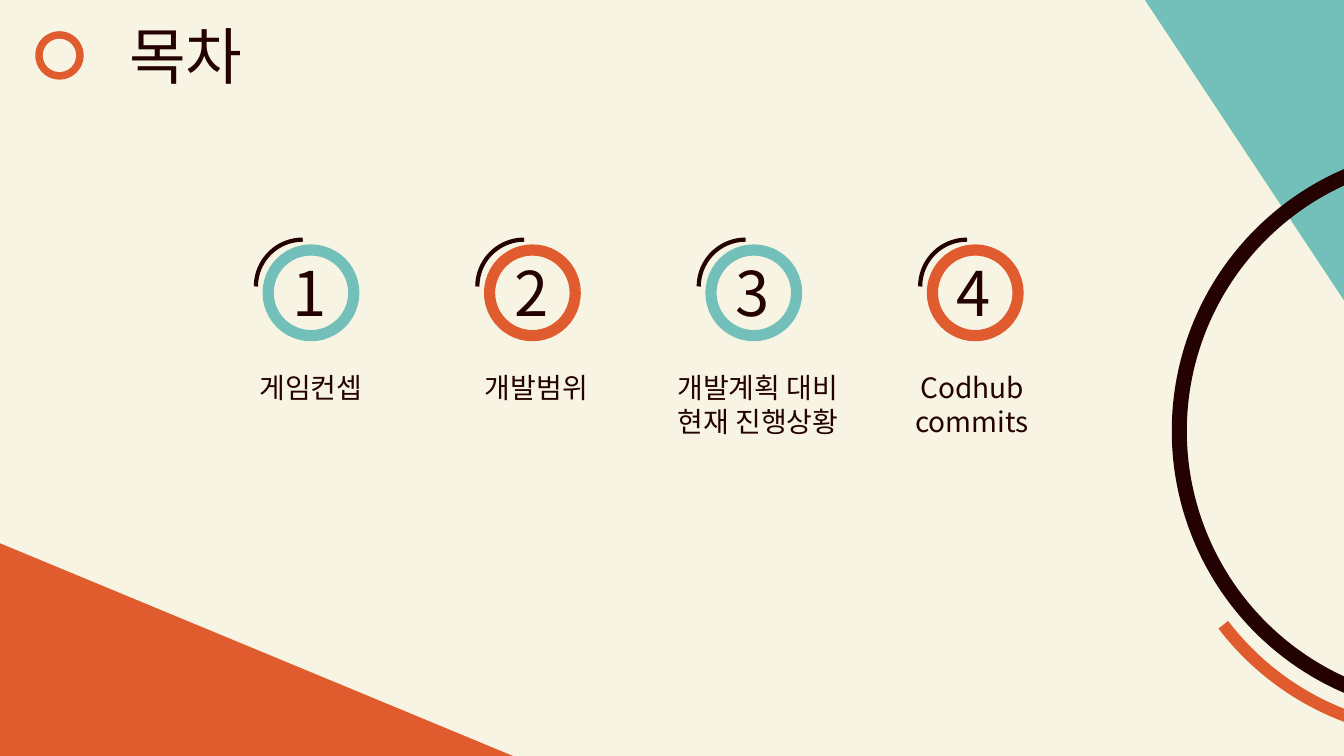
from dataclasses import dataclass

from pptx import Presentation
from pptx.dml.color import RGBColor
from pptx.enum.shapes import MSO_SHAPE as Preset
from pptx.enum.text import MSO_AUTO_SIZE as AutoSize, PP_ALIGN as Align
from pptx.oxml.ns import qn
from pptx.util import Emu, Inches, Pt


@dataclass(frozen=True)
class Theme:
    """Colours, type and the grid of 160 columns by 90 rows."""
    cream: str = "F7F4E3"
    orange: str = "E05B2E"
    teal: str = "73C0BA"
    dark: str = "240202"
    font: str = "Noto Sans CJK KR"
    heading: int = 44
    body: int = 20
    cell: int = Inches(7.5) // 90


THEME = Theme()
RING_LEFT, RING_STEP, RING_TOP, RING_SIZE = 31.92, 26.36, 29.76, 10.2
TOPICS = [
    ("게임컨셉", 0, 19.56, 5.28),
    ("개발범위", 0.5, 16.92, 5.28),
    ("개발계획 대비 현재 진행상황", 0.5, 24, 9.24),
    ("Codhub commits", -0.36, 16.2, 9.24),
]


def place(*cells):
    """Turn grid cells into slide lengths."""
    return [Emu(round(count * THEME.cell)) for count in cells]


def add_figure(slide, preset, box, fill=None, line=None, weight=0, rotation=0, adjust=()):
    """Draw a flat preset shape with an optional fill and outline."""
    shape = slide.shapes.add_shape(preset, *place(*box))
    shape.shadow.inherit = False
    shape.rotation = rotation
    for index, value in enumerate(adjust):
        shape.adjustments[index] = value
    if fill:
        shape.fill.solid()
        shape.fill.fore_color.rgb = RGBColor.from_string(fill)
    else:
        shape.fill.background()
    if line:
        shape.line.color.rgb = RGBColor.from_string(line)
        shape.line.width = Pt(weight)
    else:
        shape.line.fill.background()


def add_text(slide, text, box, size):
    """Write one centred, wrapping paragraph."""
    frame = slide.shapes.add_textbox(*place(*box)).text_frame
    frame.word_wrap = True
    frame.auto_size = AutoSize.SHAPE_TO_FIT_TEXT
    paragraph = frame.paragraphs[0]
    paragraph.alignment = Align.CENTER
    run = paragraph.add_run()
    run.text = text
    run.font.size = Pt(size)
    run.font.name = THEME.font
    run.font.color.rgb = RGBColor.from_string(THEME.dark)
    east_asian = run.font._element.makeelement(qn("a:ea"), {"typeface": THEME.font})
    run.font._element.append(east_asian)


def add_decoration(slide):
    """Draw the corner triangles and the large arcs at the right edge."""
    add_figure(slide, Preset.ISOSCELES_TRIANGLE, (0, 64.68, 62.52, 25.92),
               fill=THEME.orange, adjust=[0])
    add_figure(slide, Preset.ISOSCELES_TRIANGLE, (136.3, 0, 23.7, 35.76),
               fill=THEME.teal, rotation=180, adjust=[0])
    add_figure(slide, Preset.ARC, (140.4, 18.24, 66.12, 66.12), line=THEME.dark,
               weight=10.75, rotation=266.4, adjust=[122.78, 205.19])
    add_figure(slide, Preset.ARC, (138.84, 21.24, 66.12, 66.12), line=THEME.orange,
               weight=8.75, rotation=257.8, adjust=[127.46, 146.89])


def add_title(slide, text):
    """Write the title beside its ring marker."""
    add_text(slide, text, (7.32, 1.56, 29.64, 10.08), THEME.heading)
    add_figure(slide, Preset.OVAL, (4.2, 3.72, 5.76, 5.76), fill=THEME.orange)
    add_figure(slide, Preset.OVAL, (5.1, 4.62, 3.96, 3.96), fill=THEME.cream)


def add_topic(slide, index, label, shift, width, height):
    """Draw a numbered ring with its accent arc and label."""
    left = RING_LEFT + RING_STEP * index
    colour = (THEME.teal, THEME.orange)[index % 2]
    label_left = left + RING_SIZE / 2 + shift - width / 2
    add_figure(slide, Preset.OVAL, (left, RING_TOP, RING_SIZE, RING_SIZE),
               line=colour, weight=8)
    add_figure(slide, Preset.ARC, (left - 1.45, RING_TOP - 1.24, 11.16, 11.16),
               line=THEME.dark, weight=3, rotation=270)
    add_text(slide, str(index + 1), (left + 0.1, RING_TOP, 9.72, 10.08), THEME.heading)
    add_text(slide, label, (label_left, 43.56, width, height), THEME.body)


def main():
    """Build the contents slide and save it."""
    presentation = Presentation()
    presentation.slide_width, presentation.slide_height = place(160, 90)
    slide = presentation.slides.add_slide(presentation.slide_layouts[6])
    slide.background.fill.solid()
    slide.background.fill.fore_color.rgb = RGBColor.from_string(THEME.cream)
    add_decoration(slide)
    add_title(slide, "목차")
    for index, topic in enumerate(TOPICS):
        add_topic(slide, index, *topic)
    presentation.save("out.pptx")


main()
